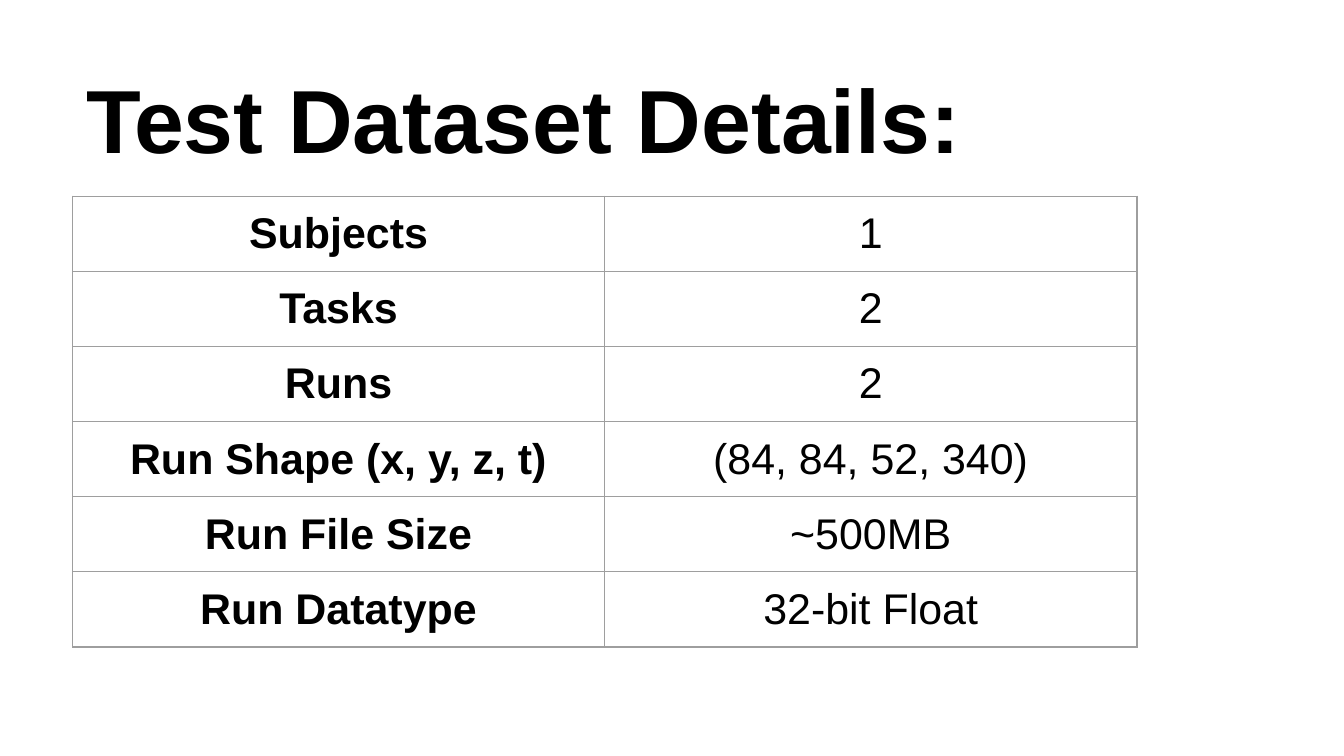
import pptx
import pptx.util
import pptx.dml.color
import pptx.enum.text
from lxml import etree
from pptx.oxml.ns import qn
from pptx.util import Inches, Pt

# Content
TITLE = "Test Dataset Details:"
DETAILS = [
    ("Subjects", "1"),
    ("Tasks", "2"),
    ("Runs", "2"),
    ("Run Shape (x, y, z, t)", "(84, 84, 52, 340)"),
    ("Run File Size", "~500MB"),
    ("Run Datatype", "32-bit Float"),
]

# Style
BLACK = pptx.dml.color.RGBColor(0x00, 0x00, 0x00)
WHITE = pptx.dml.color.RGBColor(0xFF, 0xFF, 0xFF)
BORDER_GREY = pptx.dml.color.RGBColor(0x9E, 0x9E, 0x9E)
FONT = "Arial"
LEFT = Inches(0.54)
COLUMN_WIDTH = Inches(3.96)
ROW_HEIGHT = Inches(0.42)
INSET = Inches(0.1)


def format_text(paragraph, size, bold, alignment):
    paragraph.alignment = alignment
    font = paragraph.font
    font.name = FONT
    font.size = Pt(size)
    font.bold = bold
    font.color.rgb = BLACK


def set_insets(target):
    target.margin_left = target.margin_right = INSET
    target.margin_top = target.margin_bottom = INSET


def add_borders(cell):
    properties = cell._tc.get_or_add_tcPr()
    for position, side in enumerate(("lnL", "lnR", "lnT", "lnB")):
        line = etree.Element(qn(f"a:{side}"), w=str(Pt(0.75)))
        fill = etree.SubElement(line, qn("a:solidFill"))
        etree.SubElement(fill, qn("a:srgbClr"), val=str(BORDER_GREY))
        properties.insert(position, line)


# Widescreen slide, 16:9
presentation = pptx.Presentation()
presentation.slide_width = Inches(10)
presentation.slide_height = Inches(10) * 9 // 16
slide = presentation.slides.add_slide(presentation.slide_layouts[5])
slide.background.fill.solid()
slide.background.fill.fore_color.rgb = WHITE

# Title
title = slide.shapes.title
title.left, title.top = LEFT, Inches(0.29)
title.width, title.height = Inches(7.24), Inches(1.17)
heading = title.text_frame
heading.text = TITLE
heading.word_wrap = True
heading.auto_size = pptx.enum.text.MSO_AUTO_SIZE.NONE
heading.vertical_anchor = pptx.enum.text.MSO_ANCHOR.MIDDLE
set_insets(heading)
format_text(heading.paragraphs[0], 48, True, pptx.enum.text.PP_ALIGN.LEFT)

# Details table: bold labels on the left, values on the right
details = slide.shapes.add_table(
    len(DETAILS), 2, LEFT, Inches(1.46),
    2 * COLUMN_WIDTH, len(DETAILS) * ROW_HEIGHT,
).table
details.first_row = False
details.horz_banding = False
for row, entry in enumerate(DETAILS):
    for column, text in enumerate(entry):
        cell = details.cell(row, column)
        cell.text = text
        set_insets(cell)
        cell.fill.background()
        add_borders(cell)
        format_text(cell.text_frame.paragraphs[0], 23, column == 0,
                    pptx.enum.text.PP_ALIGN.CENTER)

presentation.save("out.pptx")
